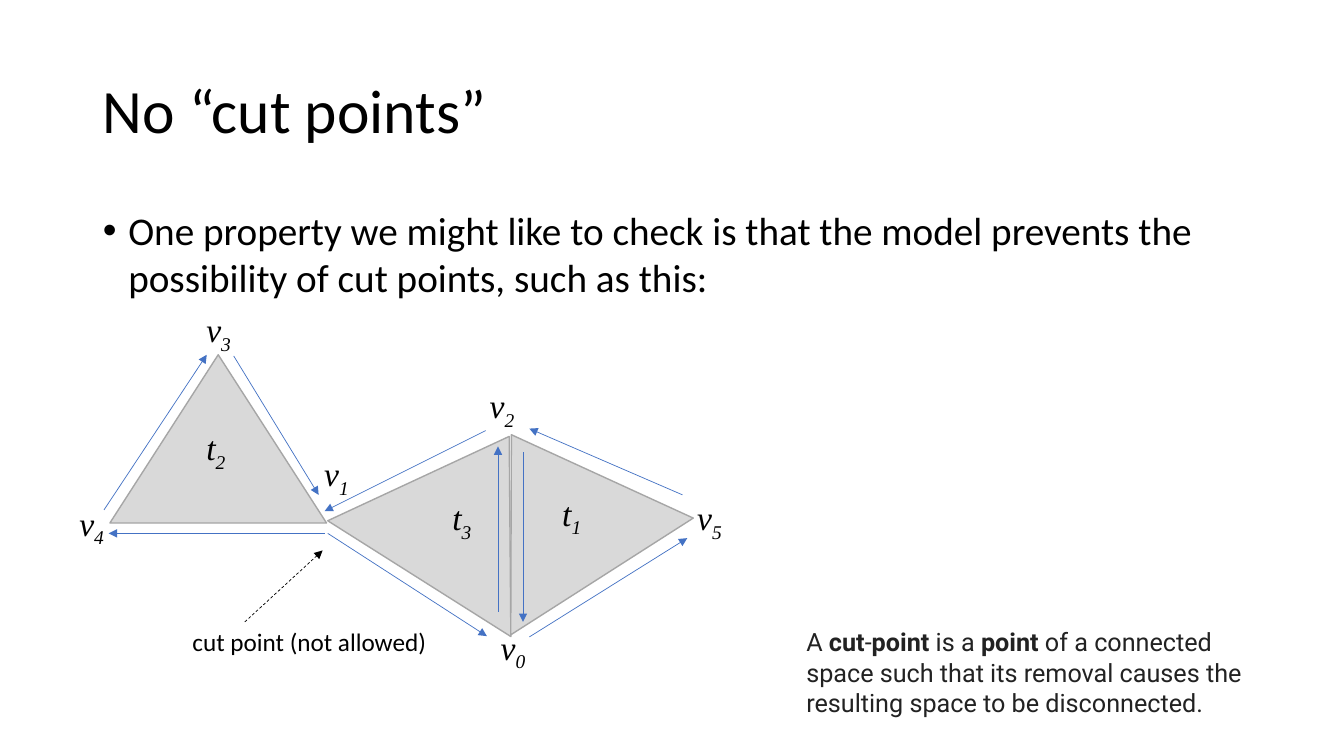
"""Build a slide that shows a cut point between joined triangles."""
from dataclasses import dataclass

from lxml import etree
from pptx import Presentation
from pptx import util as u
from pptx.dml.color import RGBColor
from pptx.enum import dml, shapes, text
from pptx.oxml import ns

HUES = {
    "ink": "000000",
    "note": "222222",
    "face": "D9D9D9",
    "edge": "A6A6A6",
    "arrow": "4472C4",
}
SIDE, HEIGHT = 5.46, 4.24


@dataclass
class Face:
    """A triangle with its turn in degrees."""
    left: float
    top: float
    turn: float = 0


@dataclass
class Label:
    """A letter with a lowered digit."""
    name: str
    left: float
    top: float


@dataclass
class Arrow:
    """A line that points from its start to its tip."""
    start: tuple[float, float]
    tip: tuple[float, float]
    hue: str = "arrow"
    dashed: bool = False


FACES = [Face(2.77, 8.94), Face(8.97, 10.67, 32.3), Face(11.3, 10.62, 327.4)]
LABELS = [
    Label("t2", 4.95, 10.64),
    Label("t3", 11.15, 12.4),
    Label("t1", 13.92, 12.29),
    Label("v0", 12.37, 15.67),
    Label("v1", 7.92, 11.3),
    Label("v2", 12.09, 9.58),
    Label("v3", 4.95, 7.67),
    Label("v4", 1.75, 12.55),
    Label("v5", 17.32, 12.4),
]
ARROWS = [
    Arrow((2.62, 12.85), (5.21, 8.94)),
    Arrow((5.89, 8.97), (8.03, 12.47)),
    Arrow((8.18, 13.44), (2.74, 13.44)),
    Arrow((12.24, 10.85), (8.18, 12.88)),
    Arrow((8.26, 13.44), (12.27, 16.03)),
    Arrow((12.55, 15.42), (12.55, 11.25)),
    Arrow((13.18, 11.4), (13.18, 15.67)),
    Arrow((13.34, 16.05), (17.32, 13.56)),
    Arrow((17.2, 12.47), (13.34, 10.8)),
    Arrow((6.17, 15.67), (8.13, 13.87), "ink", True),
]
NOTE = [
    ("A ", False),
    ("cut", True),
    ("-", False),
    ("point", True),
    (" is a ", False),
    ("point", True),
    (" of a connected space such that its removal causes "
     "the resulting space to be disconnected.", False),
]


def tint(hue: str) -> RGBColor:
    """Look up a colour by name."""
    return RGBColor.from_string(HUES[hue])


def style(para, size: float, face: str = "Calibri", hue: str = "ink") -> None:
    """Format every run of a paragraph."""
    for run in para.runs:
        run.font.size = u.Pt(size)
        run.font.name = face
        run.font.color.rgb = tint(hue)


def fill_holder(holder, words: str, size: float, top: float, height: float):
    """Move a placeholder, fill it and return its paragraph."""
    holder.left, holder.top = u.Cm(2.34), u.Cm(top)
    holder.width, holder.height = u.Cm(29.21), u.Cm(height)
    frame = holder.text_frame
    frame.text = words
    frame.auto_size = text.MSO_AUTO_SIZE.NONE
    para = frame.paragraphs[0]
    para.alignment = text.PP_ALIGN.LEFT
    style(para, size)
    return para


def add_box(slide, left: float, top: float, width: float, height: float,
            wrap: bool = False):
    """Add a text box and return its first paragraph."""
    box = slide.shapes.add_textbox(*map(u.Cm, (left, top, width, height)))
    box.text_frame.word_wrap = wrap
    box.text_frame.auto_size = text.MSO_AUTO_SIZE.SHAPE_TO_FIT_TEXT
    return box.text_frame.paragraphs[0]


def draw_face(slide, face: Face) -> None:
    """Draw one triangle."""
    shape = slide.shapes.add_shape(
        shapes.MSO_SHAPE.ISOSCELES_TRIANGLE,
        *map(u.Cm, (face.left, face.top, SIDE, HEIGHT)))
    shape.rotation = face.turn
    shape.shadow.inherit = False
    shape.fill.solid()
    shape.fill.fore_color.rgb = tint("face")
    shape.line.color.rgb = tint("edge")
    shape.line.width = u.Pt(1)


def draw_label(slide, label: Label) -> None:
    """Write one letter and its lowered digit."""
    width = 1.04 if label.name[0] == "t" else 1.19
    para = add_box(slide, label.left, label.top, width, 1.27)
    for sign in label.name:
        run = para.add_run()
        run.text = sign
        run.font.italic = True
    style(para, 24, "Times New Roman")
    para.runs[1]._r.get_or_add_rPr().set("baseline", "-25000")


def draw_arrow(slide, arrow: Arrow) -> None:
    """Draw one thin arrow."""
    link = slide.shapes.add_connector(
        shapes.MSO_CONNECTOR.STRAIGHT, *map(u.Cm, arrow.start + arrow.tip))
    link.line.color.rgb = tint(arrow.hue)
    link.line.width = u.Pt(0.5)
    if arrow.dashed:
        link.line.dash_style = dml.MSO_LINE.DASH
    props = link._element.spPr
    etree.SubElement(props.find(ns.qn("a:ln")), ns.qn("a:tailEnd"),
                     type="triangle")
    etree.SubElement(props, ns.qn("a:effectLst"))


def main() -> None:
    """Build and save the deck."""
    deck = Presentation()
    deck.slide_width, deck.slide_height = u.Cm(33.87), u.Cm(19.05)
    slide = deck.slides.add_slide(deck.slide_layouts[1])

    title = fill_holder(slide.shapes.title, "No “cut points”", 44, 1.02, 3.68)
    title.line_spacing = 0.9
    slide.shapes.title.text_frame.vertical_anchor = text.MSO_ANCHOR.MIDDLE
    body = fill_holder(
        slide.placeholders[1],
        "One property we might like to check is that the model prevents "
        "the possibility of cut points, such as this:", 28, 5.08, 2.87)
    body.space_before = u.Pt(10)
    props = body._p.get_or_add_pPr()
    props.set("marL", str(u.Cm(0.64)))
    props.set("indent", str(u.Cm(-0.64)))

    for face in FACES:
        draw_face(slide, face)
    for label in LABELS:
        draw_label(slide, label)
    for arrow in ARROWS:
        draw_arrow(slide, arrow)

    hint = add_box(slide, 4.6, 15.67, 6.48, 1.02)
    hint.text = "cut point (not allowed)"
    style(hint, 18)
    note = add_box(slide, 20.07, 15.67, 12.47, 2.57, wrap=True)
    for words, bold in NOTE:
        run = note.add_run()
        run.text = words
        run.font.bold = bold
    style(note, 18, "Roboto", "note")
    deck.save("out.pptx")


if __name__ == "__main__":
    main()
